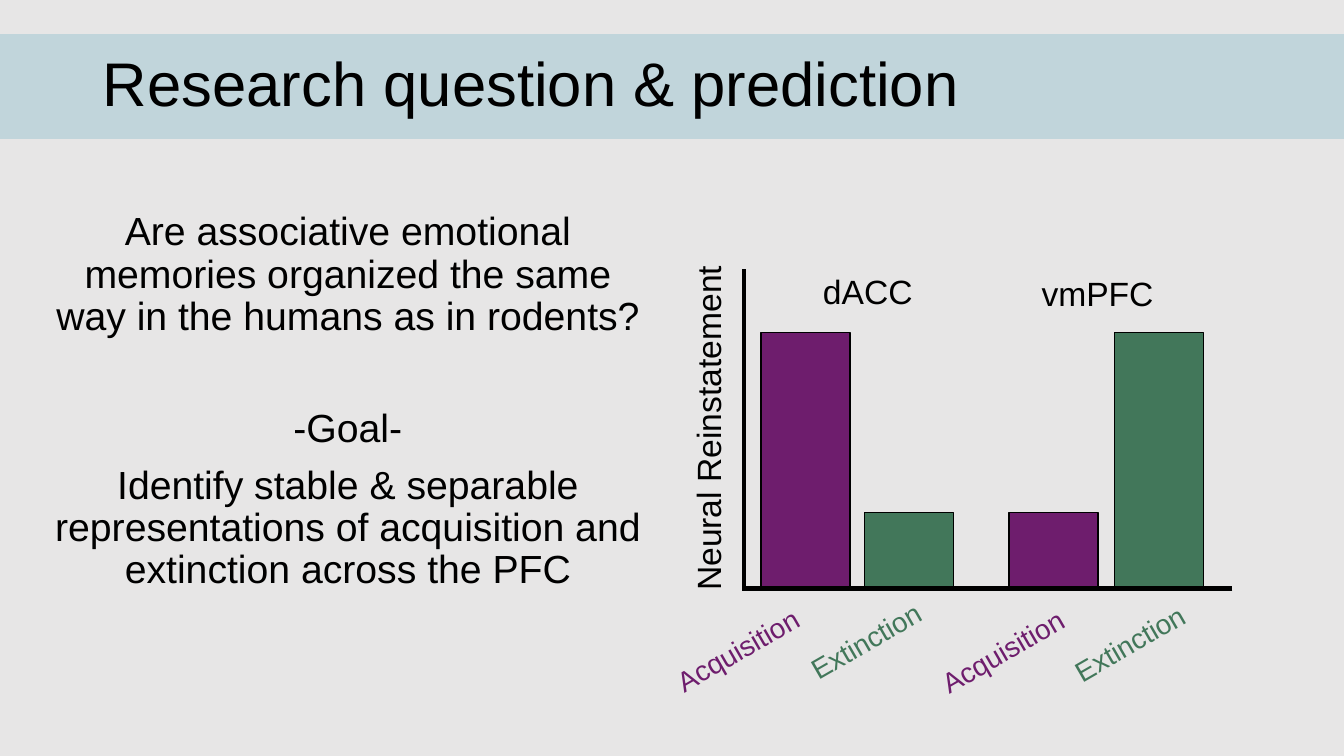
from dataclasses import dataclass

from lxml.etree import SubElement
from pptx import Presentation
from pptx.dml.color import RGBColor
from pptx.enum.shapes import MSO_CONNECTOR, MSO_SHAPE
from pptx.enum.text import MSO_ANCHOR, PP_ALIGN
from pptx.oxml.ns import qn
from pptx.util import Cm, Pt


@dataclass(frozen=True)
class Theme:
    """Colours, font and type sizes of the slide."""
    font: str = "Arial"
    background: RGBColor = RGBColor(0xE7, 0xE6, 0xE6)
    band: RGBColor = RGBColor(0xC1, 0xD5, 0xDB)
    ink: RGBColor = RGBColor(0, 0, 0)
    acquisition: RGBColor = RGBColor(0x6E, 0x1D, 0x6D)
    extinction: RGBColor = RGBColor(0x42, 0x77, 0x5A)
    title_size: int = 44
    body_size: int = 28
    region_size: int = 24
    condition_size: int = 20


THEME = Theme()
SLIDE_WIDTH, SLIDE_HEIGHT = 33.87, 19.05

STATEMENTS = [
    ("Are associative emotional memories organized the same way in the humans as in rodents?", 0),
    ("-Goal-", 50),
    ("Identify stable & separable representations of acquisition and extinction across the PFC", 10),
]
REGIONS = [("dACC", 3.12, 0.56), ("vmPFC", 8.91, 0.61)]
HIGH, LOW = 6.43, 1.9
BARS = [
    ("Acquisition", THEME.acquisition, HIGH, 0.43, -0.16, 1.57),
    ("Extinction", THEME.extinction, LOW, 3.04, 3.07, 1.34),
    ("Acquisition", THEME.acquisition, LOW, 6.68, 6.52, 1.6),
    ("Extinction", THEME.extinction, HIGH, 9.34, 9.72, 1.4),
]
BAR_WIDTH = 2.24


def place(part, left, top, width, height):
    """Move a part to a box given in centimetres."""
    part.left, part.top, part.width, part.height = map(Cm, (left, top, width, height))


def style(paragraph, size, color, align):
    """Align a paragraph and format its runs."""
    paragraph.alignment = align
    for run in paragraph.runs:
        run.font.name = THEME.font
        run.font.size = Pt(size)
        run.font.color.rgb = color


def add_block(slide, box, color, outline=None):
    """Add a plain rectangle, outlined if a colour is given."""
    block = slide.shapes.add_shape(MSO_SHAPE.RECTANGLE, *map(Cm, box))
    block.shadow.inherit = False
    block.fill.solid()
    block.fill.fore_color.rgb = color
    if outline is None:
        block.line.fill.background()
    else:
        block.line.color.rgb = outline
        block.line.width = Pt(1)
    return block


def add_label(slide, text, center_x, center_y, width, height, size, color, rotation=0):
    """Add a one-line label centred on a point."""
    label = slide.shapes.add_textbox(
        Cm(center_x - width / 2), Cm(center_y - height / 2), Cm(width), Cm(height))
    label.rotation = rotation
    label.text_frame.word_wrap = False
    label.text_frame.text = text
    style(label.text_frame.paragraphs[0], size, color, PP_ALIGN.CENTER)


def add_axis(slide, start_x, start_y, end_x, end_y):
    """Add one thick axis line."""
    axis = slide.shapes.add_connector(
        MSO_CONNECTOR.STRAIGHT, *map(Cm, (start_x, start_y, end_x, end_y)))
    axis.line.color.rgb = THEME.ink
    axis.line.width = Pt(3)
    SubElement(axis._element.spPr, qn("a:effectLst"))


def fill_heading(slide, left, top, width, height):
    """Lay the coloured band behind the title."""
    band = add_block(slide, (left, top, width, height), THEME.band)
    slide.shapes._spTree.insert(2, band._element)
    title = slide.shapes.title
    place(title, left + 2.34, top - 0.53, width - 4.66, height + 1.04)
    title.text_frame.text = "Research question & prediction"
    title.text_frame.vertical_anchor = MSO_ANCHOR.MIDDLE
    heading = title.text_frame.paragraphs[0]
    heading.line_spacing = 0.9
    style(heading, THEME.title_size, THEME.ink, PP_ALIGN.LEFT)


def fill_question(slide, left, top, width, height):
    """Write the question and the goal in the body placeholder."""
    body = slide.placeholders[1]
    place(body, left, top, width, height)
    frame = body.text_frame
    for index, (statement, gap) in enumerate(STATEMENTS):
        paragraph = frame.add_paragraph() if index else frame.paragraphs[0]
        paragraph.text = statement
        properties = paragraph._p.get_or_add_pPr()
        properties.set("marL", "0")
        properties.set("indent", "0")
        SubElement(properties, qn("a:buNone"))
        paragraph.line_spacing = 0.9
        paragraph.space_before = Pt(gap)
        style(paragraph, THEME.body_size, THEME.ink, PP_ALIGN.CENTER)


def draw_prediction(slide, left, top, width, height):
    """Draw the predicted bars, their axes and labels."""
    base = top + height
    for condition, color, bar_height, bar_x, label_x, label_drop in BARS:
        add_block(slide, (left + bar_x, base - bar_height, BAR_WIDTH, bar_height),
                  color, THEME.ink)
        add_label(slide, condition, left + label_x, base + label_drop, 3.96, 1.12,
                  THEME.condition_size, color, 330)
    for region, center_x, center_y in REGIONS:
        add_label(slide, region, left + center_x, top + center_y, 3.35, 1.27,
                  THEME.region_size, THEME.ink)
    add_axis(slide, left, top, left, base)
    add_axis(slide, left + width, base + 0.02, left - 0.05, base + 0.02)
    add_label(slide, "Neural Reinstatement", left - 0.91, top + height / 2, 9.02, 1.27,
              THEME.region_size, THEME.ink, 270)


def main():
    """Build and save the slide."""
    presentation = Presentation()
    presentation.slide_width = Cm(SLIDE_WIDTH)
    presentation.slide_height = Cm(SLIDE_HEIGHT)
    slide = presentation.slides.add_slide(presentation.slide_layouts[1])
    slide.background.fill.solid()
    slide.background.fill.fore_color.rgb = THEME.background
    fill_heading(slide, 0, 0.86, SLIDE_WIDTH, 2.64)
    fill_question(slide, 1.02, 5.21, 15.49, 13.69)
    draw_prediction(slide, 18.75, 6.78, 12.31, 8.03)
    presentation.save("out.pptx")


if __name__ == "__main__":
    main()
